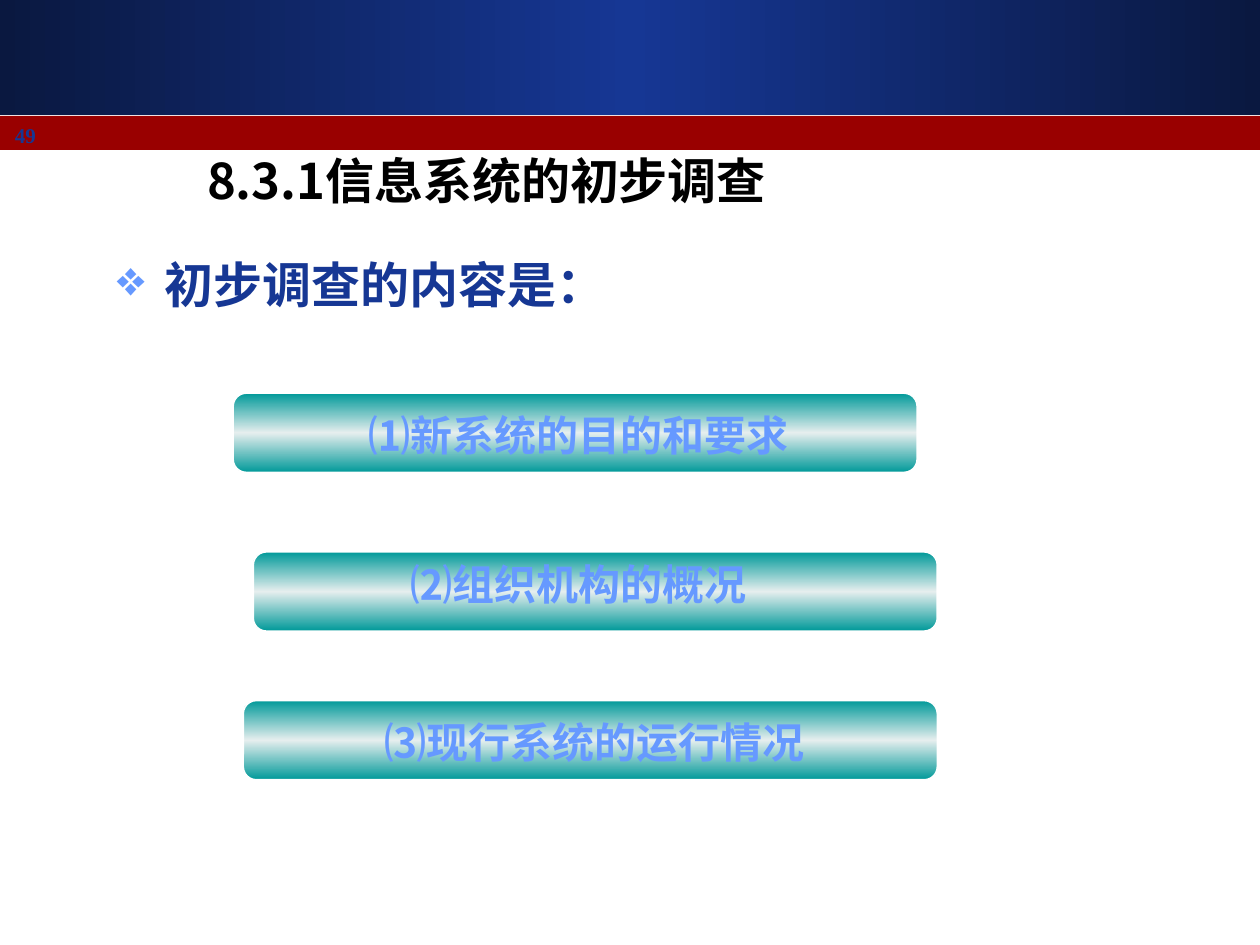
"""Build the slide on the preliminary survey of an information system."""
from copy import deepcopy
from lxml.etree import SubElement
from pptx import Presentation
from pptx.dml.color import RGBColor
from pptx.enum.shapes import MSO_SHAPE
from pptx.enum.text import MSO_ANCHOR, PP_ALIGN
from pptx.oxml.ns import qn
from pptx.util import Inches, Pt

COLORS = {"navy": "163794", "dark": "0A1840", "red": "990000", "teal": "009999",
          "pale": "E6EEEE", "sky": "6699FF", "black": "000000", "white": "FFFFFF"}
HEX = {name: RGBColor.from_string(code) for name, code in COLORS.items()}
CJK = "Noto Sans CJK SC"
ROMAN = "Times New Roman"

deck = Presentation()
deck.slide_width, deck.slide_height = Inches(10), Inches(7.5)
slide = deck.slides.add_slide(deck.slide_layouts[6])


def add_bar(kind, box, edge, core=None, angle=0):
    bar = slide.shapes.add_shape(kind, *map(Inches, box))
    bar.shadow.inherit = False
    bar.line.fill.background()
    if core is None:
        bar.fill.solid()
        bar.fill.fore_color.rgb = HEX[edge]
        return bar
    bar.fill.gradient()
    bar.fill.gradient_angle = angle
    for stop, color, place in zip(bar.fill.gradient_stops, (edge, core), (0, 0.5)):
        stop.color.rgb = HEX[color]
        stop.position = place
    stops = bar.element.spPr.find(".//" + qn("a:gsLst"))
    last = deepcopy(stops[0])
    last.set("pos", "100000")
    stops.append(last)
    return bar


def add_text(words, box, size, color, font, align=PP_ALIGN.LEFT, anchor=MSO_ANCHOR.TOP):
    frame = slide.shapes.add_textbox(*map(Inches, box)).text_frame
    frame.word_wrap = True
    frame.vertical_anchor = anchor
    frame.text = words
    para = frame.paragraphs[0]
    para.alignment = align
    run = para.runs[0]
    run.font.size, run.font.bold, run.font.name = Pt(size), True, font
    run.font.color.rgb = HEX[color]
    SubElement(run.font._element, qn("a:ea")).set("typeface", CJK)
    return para


add_bar(MSO_SHAPE.RECTANGLE, (0, 0, 10, 0.91), "dark", "navy")
add_bar(MSO_SHAPE.RECTANGLE, (0, 0.92, 10, 0.27), "red")
add_text("49", (0.02, 0.92, 9.25, 0.25), 12, "navy", ROMAN)
add_text("8.3.1信息系统的初步调查", (1.3, 1.15, 5.12, 0.56), 28, "black", CJK,
         PP_ALIGN.CENTER, MSO_ANCHOR.MIDDLE)

lead = add_text("初步调查的内容是：", (0.83, 2.02, 8.5, 1.18), 28, "navy", CJK)
lead.line_spacing = 0.9
props = lead._p.get_or_add_pPr()
props.set("marL", str(Inches(0.38)))
props.set("indent", str(Inches(-0.38)))
tint = SubElement(SubElement(props, qn("a:buClr")), qn("a:srgbClr"))
tint.set("val", COLORS["sky"])
SubElement(props, qn("a:buChar")).set("char", "❖")

items = [
    ("⑴新系统的目的和要求", (1.85, 3.12, 5.43), (2.51, 3.2, 4.17)),
    ("⑵组织机构的概况", (2.01, 4.38, 5.43), (2.72, 4.38, 3.75)),
    ("⑶现行系统的运行情况", (1.93, 5.56, 5.51), (2.63, 5.64, 4.17)),
]
for words, pill, label in items:
    bar = add_bar(MSO_SHAPE.ROUNDED_RECTANGLE, (*pill, 0.63), "teal", "pale", 90)
    bar.line.color.rgb = HEX["white"]
    bar.line.width = Pt(1)
    add_text(words, (*label, 0.5), 24, "sky", ROMAN, PP_ALIGN.CENTER)

deck.save("out.pptx")
